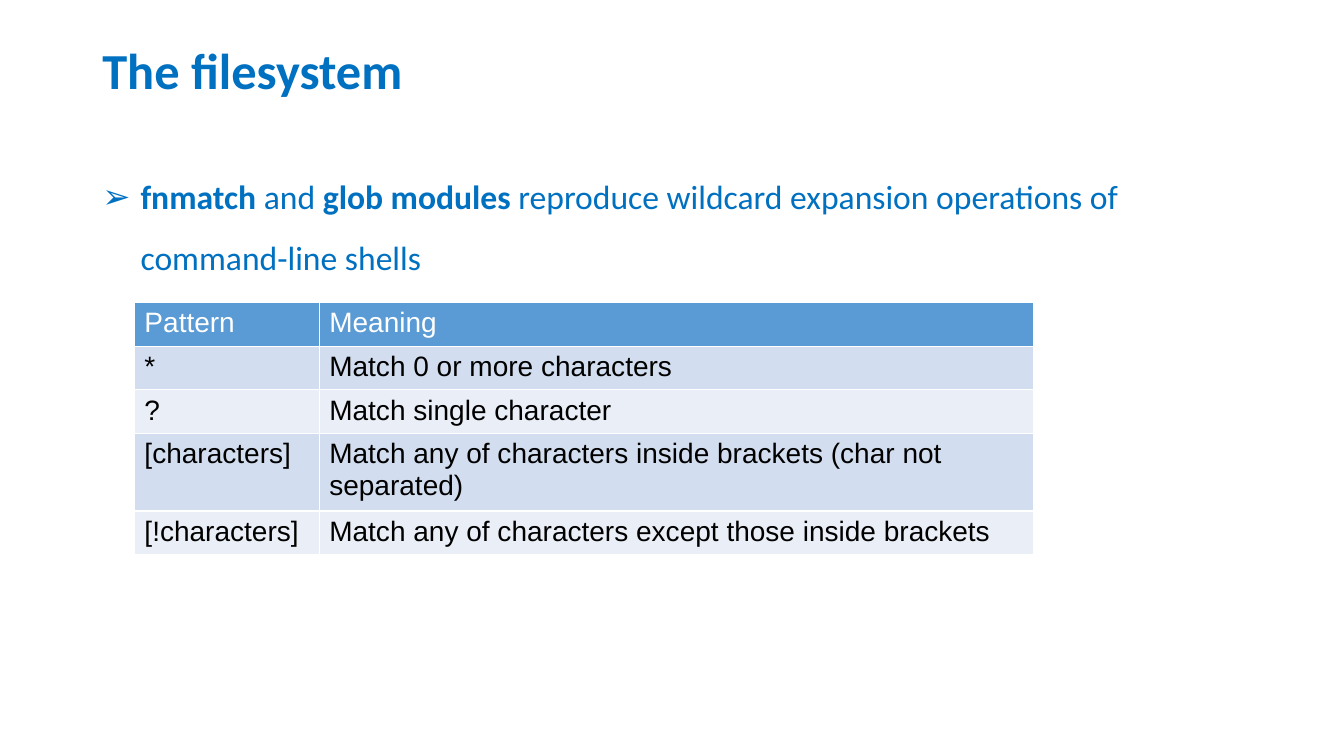
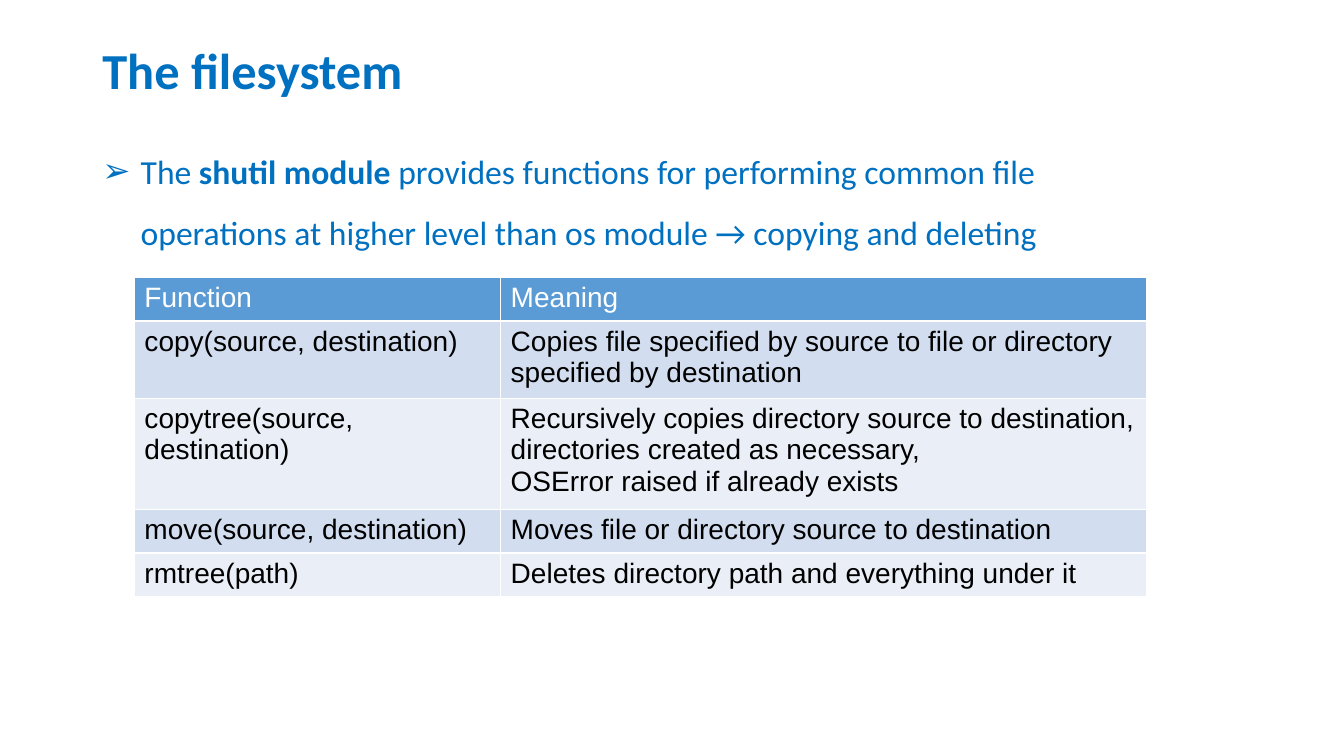
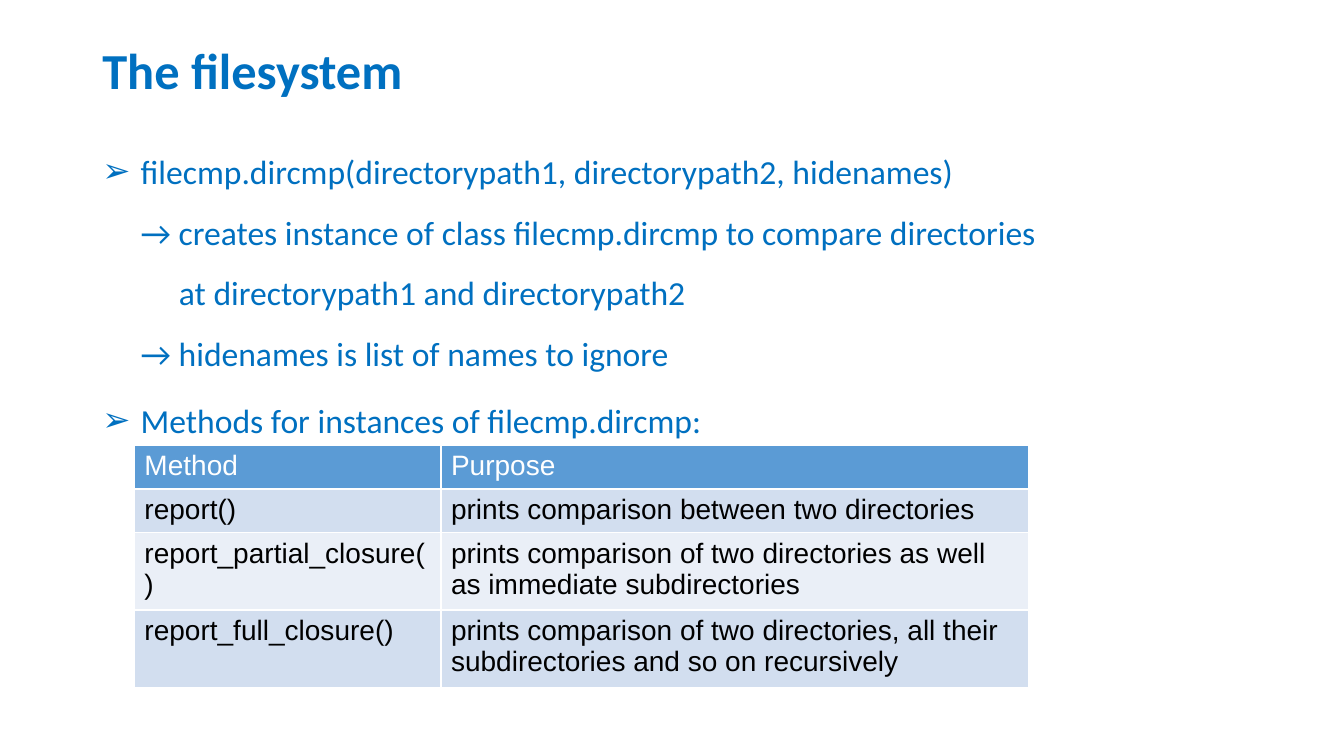
from pptx import Presentation
from pptx.dml.color import RGBColor
from pptx.enum.text import MSO_ANCHOR
from pptx.util import Inches, Pt
from lxml.etree import SubElement
from pptx.oxml.ns import qn

BLUE = RGBColor(0x00, 0x70, 0xC0)
HEADER_FILL = RGBColor(0x5B, 0x9B, 0xD5)
BAND_FILLS = [RGBColor(0xEA, 0xEF, 0xF7), RGBColor(0xD2, 0xDE, 0xEF)]
WHITE = RGBColor(0xFF, 0xFF, 0xFF)
BLACK = RGBColor(0x00, 0x00, 0x00)

TITLE_FONT = {"name": "Calibri", "size": Pt(36), "bold": True}
BODY_FONT = {"name": "Calibri", "size": Pt(24)}
TABLE_FONT = {"name": "Arial", "size": Pt(20), "bold": False}

presentation = Presentation()
presentation.slide_width = Inches(13.33)
presentation.slide_height = Inches(7.5)

# Grid of 160 columns by 90 rows
COLUMN = presentation.slide_width / 160
ROW = presentation.slide_height / 90
MARGIN, TEXT_WIDTH = 11, 138
TABLE_LEFT, TABLE_ROW = 16, 4.9
HANGING = Inches(0.38)


def add_text_frame(slide, top, height):
    box = slide.shapes.add_textbox(int(MARGIN * COLUMN), int(top * ROW),
                                   int(TEXT_WIDTH * COLUMN), int(height * ROW))
    box.text_frame.word_wrap = True
    return box.text_frame


def style_font(font, values, color):
    for attribute, value in values.items():
        setattr(font, attribute, value)
    font.color.rgb = color


# Body paragraphs are (level, runs), a run is (text, bold); level 0 has a bullet
slides = [
    {
        "body_top": 18,
        "body": [(0, [("fnmatch", True), (" and ", False), ("glob modules ", True),
                      ("reproduce wildcard expansion operations of command-line shells",
                       False)])],
        "table_top": 36,
        "columns": [22, 85],
        "rows": [
            ("Pattern", "Meaning"),
            ("*", "Match 0 or more characters"),
            ("?", "Match single character"),
            ("[characters]",
             "Match any of characters inside brackets (char not separated)"),
            ("[!characters]", "Match any of characters except those inside brackets"),
        ],
    },
    {
        "body_top": 15,
        "body": [(0, [("The ", False), ("shutil module ", True),
                      ("provides functions for performing common file\n"
                       "operations at higher level than os module → copying and deleting",
                       False)])],
        "table_top": 33,
        "columns": [43.6, 76.9],
        "rows": [
            ("Function", "Meaning"),
            ("copy(source, destination)",
             "Copies file specified by source to file or directory "
             "specified by destination"),
            ("copytree(source, destination)",
             "Recursively copies directory source to destination, "
             "directories created as necessary,\nOSError raised if already exists"),
            ("move(source, destination)", "Moves file or directory source to destination"),
            ("rmtree(path)", "Deletes directory path and everything under it"),
        ],
    },
    {
        "body_top": 15,
        "body": [
            (0, [("filecmp.dircmp(directorypath1, directorypath2, hidenames)", False)]),
            (1, [("→ creates instance of class filecmp.dircmp to compare directories\n"
                  "at directorypath1 and directorypath2", False)]),
            (1, [("→ hidenames is list of names to ignore", False)]),
            (0, [("Methods for instances of filecmp.dircmp:", False)]),
        ],
        "table_top": 53,
        "columns": [36.5, 70],
        "rows": [
            ("Method", "Purpose"),
            ("report()", "prints comparison between two directories"),
            ("report_partial_closure()",
             "prints comparison of two directories as well as immediate subdirectories"),
            ("report_full_closure()",
             "prints comparison of two directories, all their subdirectories "
             "and so on recursively"),
        ],
    },
]

for content in slides:
    slide = presentation.slides.add_slide(presentation.slide_layouts[6])

    # Title
    title_frame = add_text_frame(slide, 0, 17.4)
    title_frame.vertical_anchor = MSO_ANCHOR.MIDDLE
    paragraph = title_frame.paragraphs[0]
    paragraph.text = "The filesystem"
    paragraph.line_spacing = 0.9
    style_font(paragraph.runs[0].font, TITLE_FONT, BLUE)

    # Bulleted text with hanging indents
    body_frame = add_text_frame(slide, content["body_top"], 57.1)
    for index, (level, runs) in enumerate(content["body"]):
        paragraph = body_frame.add_paragraph() if index else body_frame.paragraphs[0]
        paragraph.line_spacing = 1.5
        paragraph.space_before = Pt(0 if level else 4.8)
        properties = paragraph._p.get_or_add_pPr()
        properties.set("marL", str((level + 1) * HANGING))
        properties.set("indent", str(-HANGING))
        if level == 0:
            SubElement(properties, qn("a:buFont"), typeface="Arial")
            SubElement(properties, qn("a:buChar"), char="➢")
        for text, bold in runs:
            for line_number, line in enumerate(text.split("\n")):
                if line_number:
                    paragraph.add_line_break()
                run = paragraph.add_run()
                run.text = line
                style_font(run.font, {**BODY_FONT, "bold": bold}, BLUE)

    # Table
    rows, widths = content["rows"], content["columns"]
    table = slide.shapes.add_table(
        len(rows), len(widths), int(TABLE_LEFT * COLUMN), int(content["table_top"] * ROW),
        int(sum(widths) * COLUMN), int(len(rows) * TABLE_ROW * ROW)).table
    for table_column, width in zip(table.columns, widths):
        table_column.width = int(width * COLUMN)
    for row_index, row in enumerate(rows):
        for column_index, text in enumerate(row):
            cell = table.cell(row_index, column_index)
            cell.text = text
            cell.fill.solid()
            cell.fill.fore_color.rgb = BAND_FILLS[row_index % 2] if row_index else HEADER_FILL
            for paragraph in cell.text_frame.paragraphs:
                style_font(paragraph.runs[0].font, TABLE_FONT, BLACK if row_index else WHITE)

presentation.save("out.pptx")
